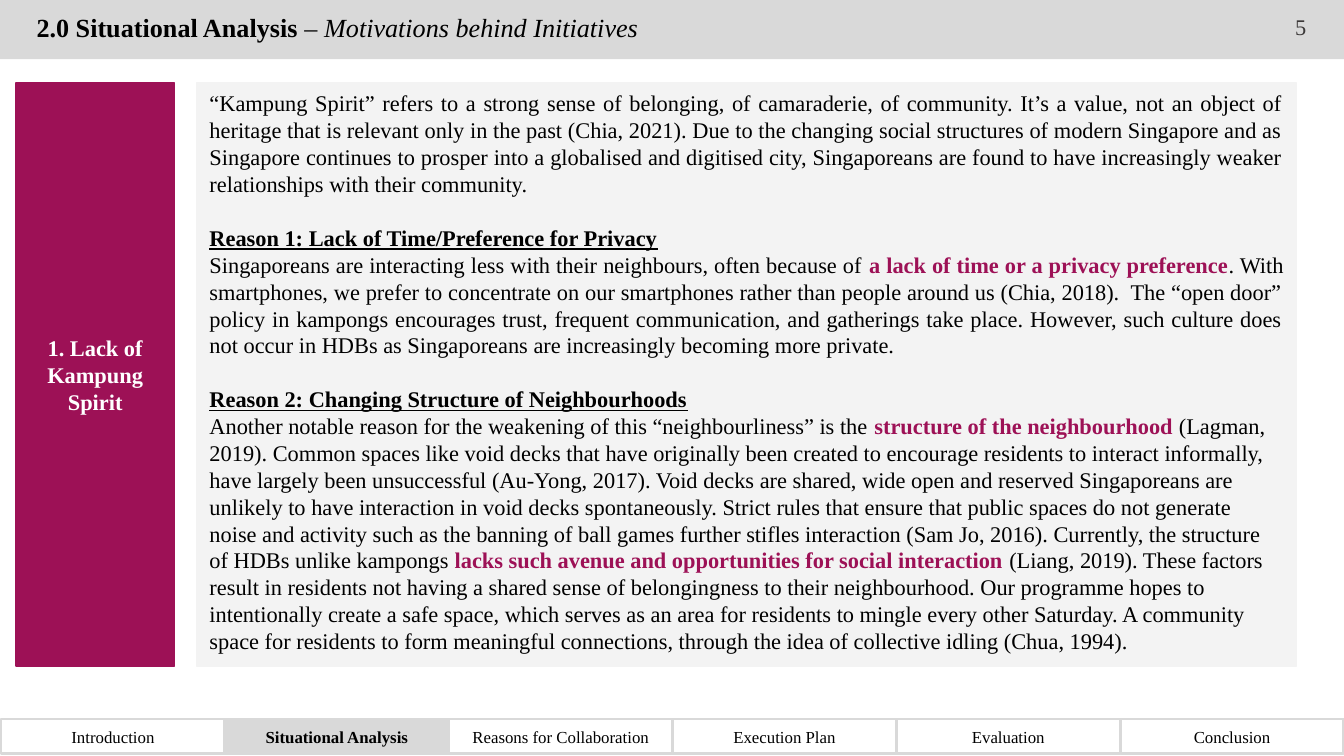
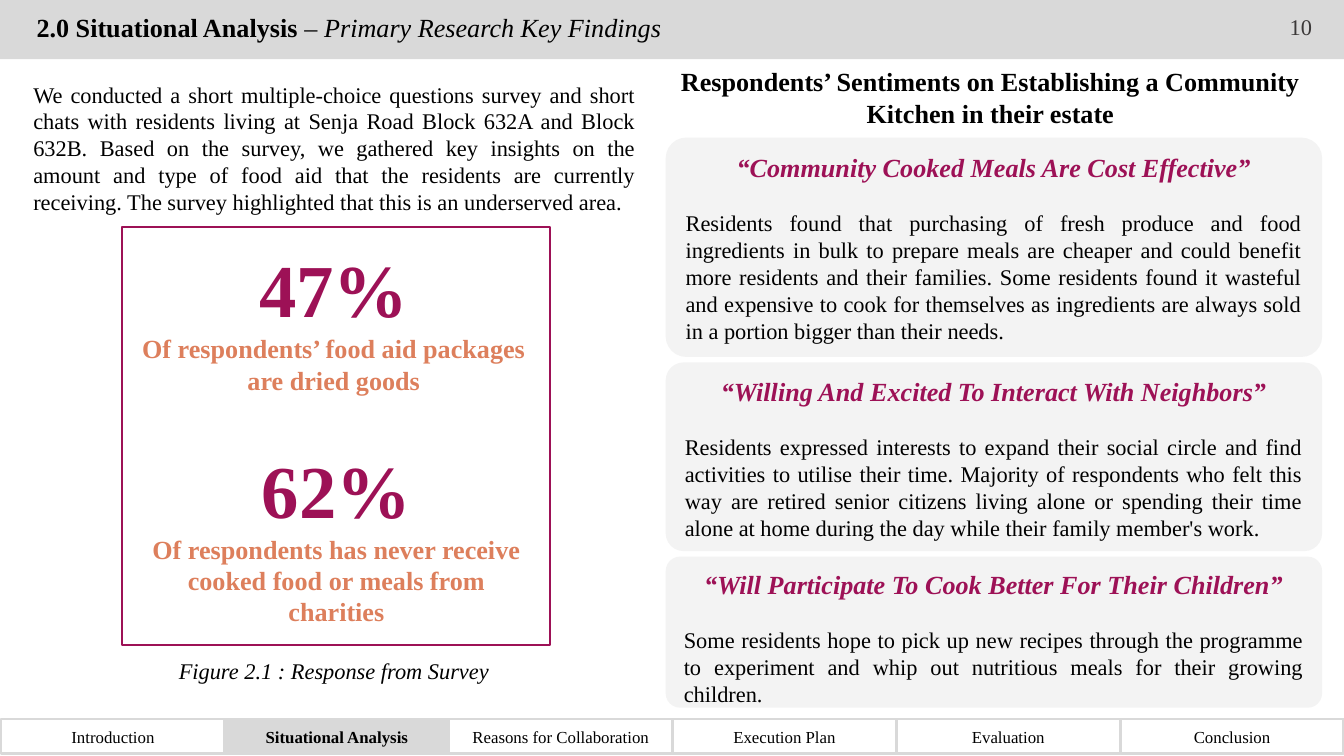
from pptx import Presentation
from pptx.dml.color import RGBColor
from pptx.enum.shapes import MSO_SHAPE as Shape
from pptx.enum.text import MSO_ANCHOR as Anchor, MSO_AUTO_SIZE as AutoSize, PP_ALIGN as Align
from pptx.util import Cm, Pt

FONT = "Times New Roman"
BLACK, WHITE, CHARCOAL = "000000", "FFFFFF", "3B3838"
BAND, PANEL = "D9D9D9", "F3F3F3"
BERRY, CORAL = "9D1156", "DD7F5C"
BLANK_LINE = 14.4

rgb = RGBColor.from_string


def add_box(shapes, kind, place, fill=None, line=None, width=1):
    """Add a preset shape, or a text box when kind is None; place is in cm."""
    place = [Cm(length) for length in place]
    if kind is None:
        return shapes.add_textbox(*place)
    box = shapes.add_shape(kind, *place)
    box.shadow.inherit = False
    if fill:
        box.fill.solid()
        box.fill.fore_color.rgb = rgb(fill)
    else:
        box.fill.background()
    if line:
        box.line.color.rgb = rgb(line)
        box.line.width = Pt(width)
    else:
        box.line.fill.background()
    return box


def write(box, paragraphs, anchor=Anchor.TOP):
    """Fill a box with (align, size, space before, runs); a run is (text, colour, style letters)."""
    frame = box.text_frame
    frame.word_wrap = True
    frame.auto_size = AutoSize.NONE
    frame.vertical_anchor = anchor
    for number, (align, size, space, runs) in enumerate(paragraphs):
        paragraph = frame.add_paragraph() if number else frame.paragraphs[0]
        paragraph.alignment = align
        paragraph.space_before = Pt(space)
        for text, colour, style in runs:
            run = paragraph.add_run()
            run.text = text
            font = run.font
            font.name, font.size, font.color.rgb = FONT, Pt(size), rgb(colour)
            font.bold, font.italic, font.underline = "b" in style, "i" in style, "u" in style


prs = Presentation()
prs.slide_width, prs.slide_height = Cm(25.4), Cm(14.29)
title_only = prs.slide_layouts[5]

# Header band, title, page number and section navigation
sections = ["Introduction", "Situational Analysis", "Reasons for Collaboration",
            "Execution Plan", "Evaluation", "Conclusion"]
current_section = "Situational Analysis"
section_width = 4.23
slides = []
for topic, page, title_width in [("Motivations behind Initiatives", "5", 13.82),
                                 ("Primary Research Key Findings", "10", 14.48)]:
    slide = prs.slides.add_slide(title_only)
    slides.append(slide)
    band = add_box(slide.shapes, Shape.RECTANGLE, (0, 0, 25.4, 1.12), BAND)
    title = slide.shapes.title
    title._element.addprevious(band._element)
    title.left, title.top, title.width, title.height = 0, 0, Cm(title_width), Cm(1.09)
    title.text_frame.margin_left = Cm(0.69)
    write(title, [(Align.LEFT, 14, 0, [(current_section.join(["2.0 ", ""]), BLACK, "b"),
                                       (" – ", BLACK, ""), (topic, BLACK, "i")])], Anchor.MIDDLE)
    title.text_frame.paragraphs[0].line_spacing = 0.9
    page_number = add_box(slide.shapes, None, (23.77, 0, 1.63, 1.02))
    write(page_number, [(Align.CENTER, 12, 0, [(page, CHARCOAL, "")])], Anchor.MIDDLE)

    navigation = slide.shapes.add_group_shape().shapes
    for index, section in enumerate(sections):
        active = section == current_section
        tab = add_box(navigation, Shape.RECTANGLE,
                      (0.02 + index * section_width, 13.59, section_width, 0.66),
                      BAND if active else None, BAND, 1.5)
        write(tab, [(Align.CENTER, 9, 0, [(section, BLACK, "b" if active else "")])], Anchor.MIDDLE)

motivations, findings = slides

# Motivations behind the initiatives
reasons = add_box(motivations.shapes, Shape.RECTANGLE, (3.71, 1.57, 20.8, 11.02), PANEL, PANEL, 0.75)
write(reasons, [
    (Align.JUSTIFY, 12, 0, [
        ("“Kampung Spirit” refers to a strong sense of belonging, of camaraderie, of community. "
         "It’s a value, not an object of heritage that is relevant only in the past (Chia, 2021). "
         "Due to the changing social structures of modern Singapore and as Singapore continues to "
         "prosper into a globalised and digitised city, Singaporeans are found to have increasingly "
         "weaker relationships with their community.", BLACK, "")]),
    (Align.JUSTIFY, 12, BLANK_LINE, [("Reason 1: Lack of Time/Preference for Privacy", BLACK, "bu")]),
    (Align.JUSTIFY, 12, 0, [
        ("Singaporeans are interacting less with their neighbours, often because of ", BLACK, ""),
        ("a lack of time or a privacy preference", BERRY, "b"),
        (". With smartphones, we prefer to concentrate on our smartphones rather than people around "
         "us (Chia, 2018).  The “open door” policy in kampongs encourages trust, frequent "
         "communication, and gatherings take place. However, such culture does not occur in HDBs as "
         "Singaporeans are increasingly becoming more private.", BLACK, "")]),
    (Align.JUSTIFY, 12, BLANK_LINE, [("Reason 2: Changing Structure of Neighbourhoods", BLACK, "bu")]),
    (Align.LEFT, 12, 0, [
        ("Another notable reason for the weakening of this “neighbourliness” is the ", BLACK, ""),
        ("structure of the neighbourhood ", BERRY, "b"),
        ("(Lagman, 2019). Common spaces like void decks that have originally been created to "
         "encourage residents to interact informally, have largely been unsuccessful (Au-Yong, 2017). "
         "Void decks are shared, wide open and reserved Singaporeans are unlikely to have interaction "
         "in void decks spontaneously. Strict rules that ensure that public spaces do not generate "
         "noise and activity such as the banning of ball games further stifles interaction (Sam Jo, "
         "2016). Currently, the structure of HDBs unlike kampongs ", BLACK, ""),
        ("lacks such avenue and opportunities for social interaction ", BERRY, "b"),
        ("(Liang, 2019). These factors result in residents not having a shared sense of belongingness "
         "to their neighbourhood. Our programme hopes to intentionally create a safe space, which "
         "serves as an area for residents to mingle every other Saturday. A community space for "
         "residents to form meaningful connections, through the idea of collective idling (Chua, "
         "1994).", BLACK, "")]),
])
motivation = add_box(motivations.shapes, Shape.RECTANGLE, (0.3, 1.57, 3, 11.02), BERRY, BERRY)
write(motivation, [(Align.CENTER, 12, 0, [("1. Lack of Kampung Spirit", WHITE, "b")])], Anchor.MIDDLE)

# Primary research: survey results
survey_intro = add_box(findings.shapes, None, (0.38, 1.4, 11.89, 2.82))
write(survey_intro, [(Align.JUSTIFY, 12, 0, [
    ("We conducted a short multiple-choice questions survey and short chats with residents living at "
     "Senja Road Block 632A and Block 632B. Based on the survey, we gathered key insights on the "
     "amount and type of food aid that the residents are currently receiving. The survey highlighted "
     "that this is an underserved area.", BLACK, "")])])
caption = add_box(findings.shapes, None, (2.9, 12.29, 6.83, 0.76))
write(caption, [(Align.CENTER, 12, 0, [("Figure 2.1 : Response from Survey", BLACK, "i")])])

survey = findings.shapes.add_group_shape().shapes
for share, meaning, place in [
    ("47%", "Of respondents’ food aid packages are dried goods", (2.41, 4.47, 7.8, 3.18)),
    ("62%", "Of respondents has never receive cooked food or meals from charities",
     (2.46, 8.26, 7.8, 3.76)),
]:
    result = add_box(survey, None, place)
    write(result, [(Align.CENTER, 40, 0, [(share, BERRY, "b")]),
                   (Align.CENTER, 14, 0, [(meaning, CORAL, "b")])])
add_box(survey, Shape.RECTANGLE, (2.31, 4.29, 8.08, 7.9), None, BERRY)

# Primary research: sentiments
heading = add_box(findings.shapes, None, (12.6, 1.12, 12.24, 1.45))
write(heading, [(Align.CENTER, 14, 0, [
    ("Respondents’ Sentiments on Establishing a Community Kitchen in their estate", BLACK, "b")])])

card_top, card_gap = 2.62, 0.14
for quote, explanation, card_height in [
    ("“Community Cooked Meals Are Cost Effective”",
     "Residents found that purchasing of fresh produce and food ingredients in bulk to prepare meals "
     "are cheaper and could benefit more residents and their families. Some residents found it "
     "wasteful and expensive to cook for themselves as ingredients are always sold in a portion "
     "bigger than their needs.", 4.11),
    ("“Willing And Excited To Interact With Neighbors”",
     "Residents expressed interests to expand their social circle and find activities to utilise "
     "their time. Majority of respondents who felt this way are retired senior citizens living alone "
     "or spending their time alone at home during the day while their family member's work.", 3.53),
    ("“Will Participate To Cook Better For Their Children”",
     "Some residents hope to pick up new recipes through the programme to experiment and whip out "
     "nutritious meals for their growing children.", 2.82),
]:
    card = add_box(findings.shapes, Shape.ROUNDED_RECTANGLE,
                   (12.6, card_top, 12.37, card_height), PANEL, PANEL)
    card.adjustments[0] = 0.09
    write(card, [(Align.CENTER, 14, 0, [(quote, BERRY, "bi")]),
                 (Align.JUSTIFY, 12, BLANK_LINE, [(explanation, BLACK, "")])])
    card_top += card_height + card_gap

prs.save("out.pptx")
